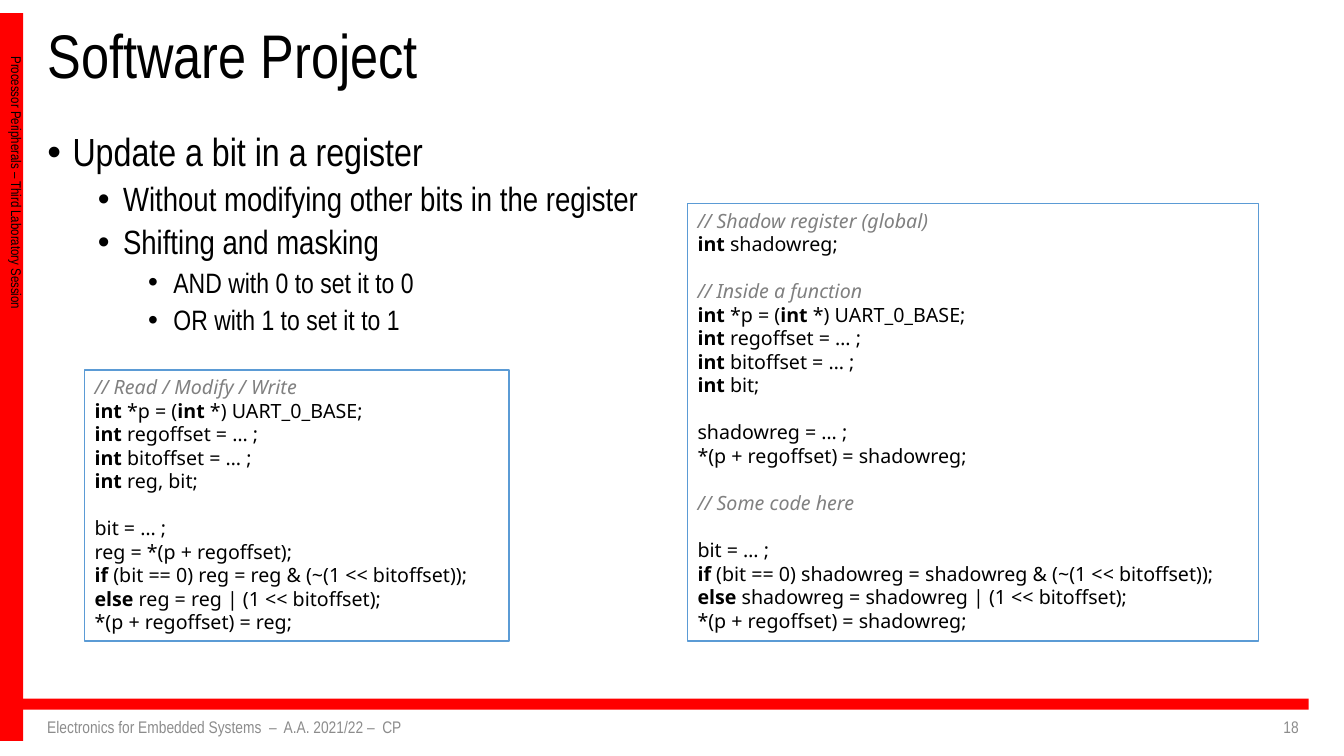
from lxml import etree
from pptx import Presentation
from pptx.dml.color import RGBColor
from pptx.enum.shapes import MSO_SHAPE
from pptx.enum.text import MSO_ANCHOR, MSO_AUTO_SIZE, PP_ALIGN
from pptx.oxml.ns import qn
from pptx.util import Pt

PX = 9144
LEFT, RIGHT = PP_ALIGN.LEFT, PP_ALIGN.RIGHT
TOP, MIDDLE = MSO_ANCHOR.TOP, MSO_ANCHOR.MIDDLE
RECTANGLE = MSO_SHAPE.RECTANGLE
NO_AUTOFIT = MSO_AUTO_SIZE.NONE

RED = RGBColor(0xFF, 0x00, 0x00)
BLACK = RGBColor(0x00, 0x00, 0x00)
WHITE = RGBColor(0xFF, 0xFF, 0xFF)
BLUE = RGBColor(0x5B, 0x9B, 0xD5)
COMMENT_GREY = RGBColor(0x80, 0x80, 0x80)
FOOTER_GREY = RGBColor(0x8C, 0x8C, 0x8C)

TEXT_FONT = "Arial Narrow"
CODE_FONT = "Noto Sans"
CODE_LINE = Pt(16.8)

LEVEL_SIZES = (28, 24, 20)
BULLETS = (
    (0, "Update a bit in a register"),
    (1, "Without modifying other bits in the register"),
    (1, "Shifting and masking"),
    (2, "AND with 0 to set it to 0"),
    (2, "OR with 1 to set it to 1"),
)

READ_MODIFY_WRITE = """// Read / Modify / Write
`int` *p = (`int` *) UART_0_BASE;
`int` regoffset = … ;
`int` bitoffset = … ;
`int` reg, bit;

bit = … ;
reg = *(p + regoffset);
`if` (bit == 0) reg = reg & (~(1 << bitoffset));
`else` reg = reg | (1 << bitoffset);
*(p + regoffset) = reg;"""

SHADOW_REGISTER = """// Shadow register (global)
`int` shadowreg;

// Inside a function
`int` *p = (`int` *) UART_0_BASE;
`int` regoffset = … ;
`int` bitoffset = … ;
`int` bit;

shadowreg = … ;
*(p + regoffset) = shadowreg;

// Some code here

bit = … ;
`if` (bit == 0) shadowreg = shadowreg & (~(1 << bitoffset));
`else` shadowreg = shadowreg | (1 << bitoffset);
*(p + regoffset) = shadowreg;"""


def scaled(*lengths):
    return [length * PX for length in lengths]


def set_font(para, name, size, color):
    para.font.name = name
    para.font.size = Pt(size)
    para.font.color.rgb = color


def place(box, area, anchor):
    box.left, box.top, box.width, box.height = scaled(*area)
    frame = box.text_frame
    frame.word_wrap = True
    frame.auto_size = NO_AUTOFIT
    frame.vertical_anchor = anchor
    return frame


def add_box(page, area, anchor):
    box = page.shapes.add_textbox(*scaled(*area))
    place(box, area, anchor)
    return box


def add_label(page, area, text, size, color, align=LEFT, anchor=MIDDLE):
    box = add_box(page, area, anchor)
    para = box.text_frame.paragraphs[0]
    para.text = text
    para.alignment = align
    set_font(para, TEXT_FONT, size, color)
    return box


def add_bar(page, area):
    bar = page.shapes.add_shape(RECTANGLE, *scaled(*area))
    bar.shadow.inherit = False
    bar.fill.solid()
    bar.fill.fore_color.rgb = RED
    bar.line.fill.background()


def add_sidebar(page, area, text):
    box = add_label(page, area, text, 10, BLACK, anchor=TOP)
    box.fill.solid()
    box.fill.fore_color.rgb = RED
    frame = box.text_frame
    frame.paragraphs[0].line_spacing = 0.9
    frame.margin_left, frame.margin_top, frame.margin_right, frame.margin_bottom = scaled(8, 43, 0, 8)
    frame._txBody.bodyPr.set("vert", "vert")


def fill_title(title, area, text):
    frame = place(title, area, MIDDLE)
    para = frame.paragraphs[0]
    para.text = text
    para.alignment = LEFT
    para.line_spacing = 0.9
    set_font(para, TEXT_FONT, 44, BLACK)


def add_bullet(para, level):
    properties = para._p.get_or_add_pPr()
    margin, indent = scaled(25 + 50 * level, -25)
    properties.set("marL", str(margin))
    properties.set("indent", str(indent))
    etree.SubElement(properties, qn("a:buFont")).set("typeface", "Arial")
    etree.SubElement(properties, qn("a:buChar")).set("char", "•")


def fill_list(body, area, items):
    frame = place(body, area, TOP)
    for index, (level, text) in enumerate(items):
        para = frame.add_paragraph() if index else frame.paragraphs[0]
        para.text = text
        para.level = level
        para.line_spacing = 0.9
        para.space_before = Pt(5 if index else 0)
        add_bullet(para, level)
        set_font(para, TEXT_FONT, LEVEL_SIZES[level], BLACK)


def add_code(page, area, code):
    box = add_box(page, area, TOP)
    box.fill.solid()
    box.fill.fore_color.rgb = WHITE
    box.line.color.rgb = BLUE
    box.line.width = Pt(1)
    frame = box.text_frame
    for number, block in enumerate(code.split("\n\n")):
        for index, line in enumerate(block.split("\n")):
            para = frame.add_paragraph() if number or index else frame.paragraphs[0]
            if number and index == 0:
                para.space_before = CODE_LINE
            is_comment = line.startswith("//")
            set_font(para, CODE_FONT, 14, COMMENT_GREY if is_comment else BLACK)
            para.font.italic = is_comment
            for position, text in enumerate(line.split("`")):
                if text:
                    span = para.add_run()
                    span.text = text
                    span.font.bold = position % 2 == 1


def main():
    deck = Presentation()
    deck.slide_width, deck.slide_height = scaled(1333, 750)
    page = deck.slides.add_slide(deck.slide_layouts[1])

    add_bar(page, (23, 693, 1275, 11))
    fill_title(page.shapes.title, (37, 13, 1261, 90), "Software Project")
    fill_list(page.placeholders[1], (37, 127, 1261, 563), BULLETS)
    add_sidebar(page, (0, 13, 23, 722), "Processor Peripherals – Third Laboratory Session")
    add_label(page, (37, 708, 1102, 27),
              "Electronics for Embedded Systems  –  A.A. 2021/22 –  CP", 12, FOOTER_GREY)
    add_label(page, (1167, 708, 131, 27), "18", 12, FOOTER_GREY, RIGHT)
    add_code(page, (84, 367, 421, 269), READ_MODIFY_WRITE)
    add_code(page, (682, 202, 566, 434), SHADOW_REGISTER)

    deck.save("out.pptx")


if __name__ == "__main__":
    main()
